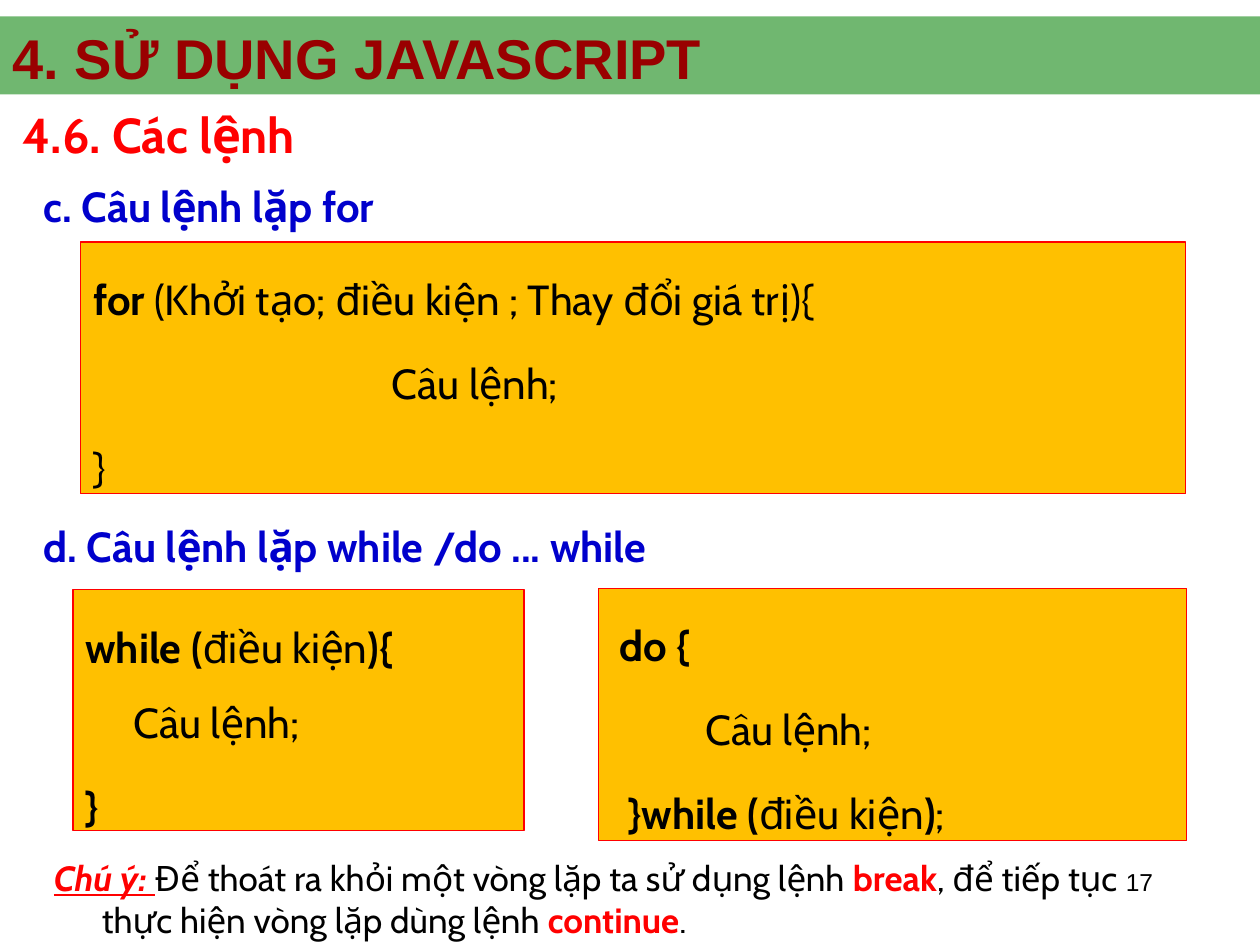
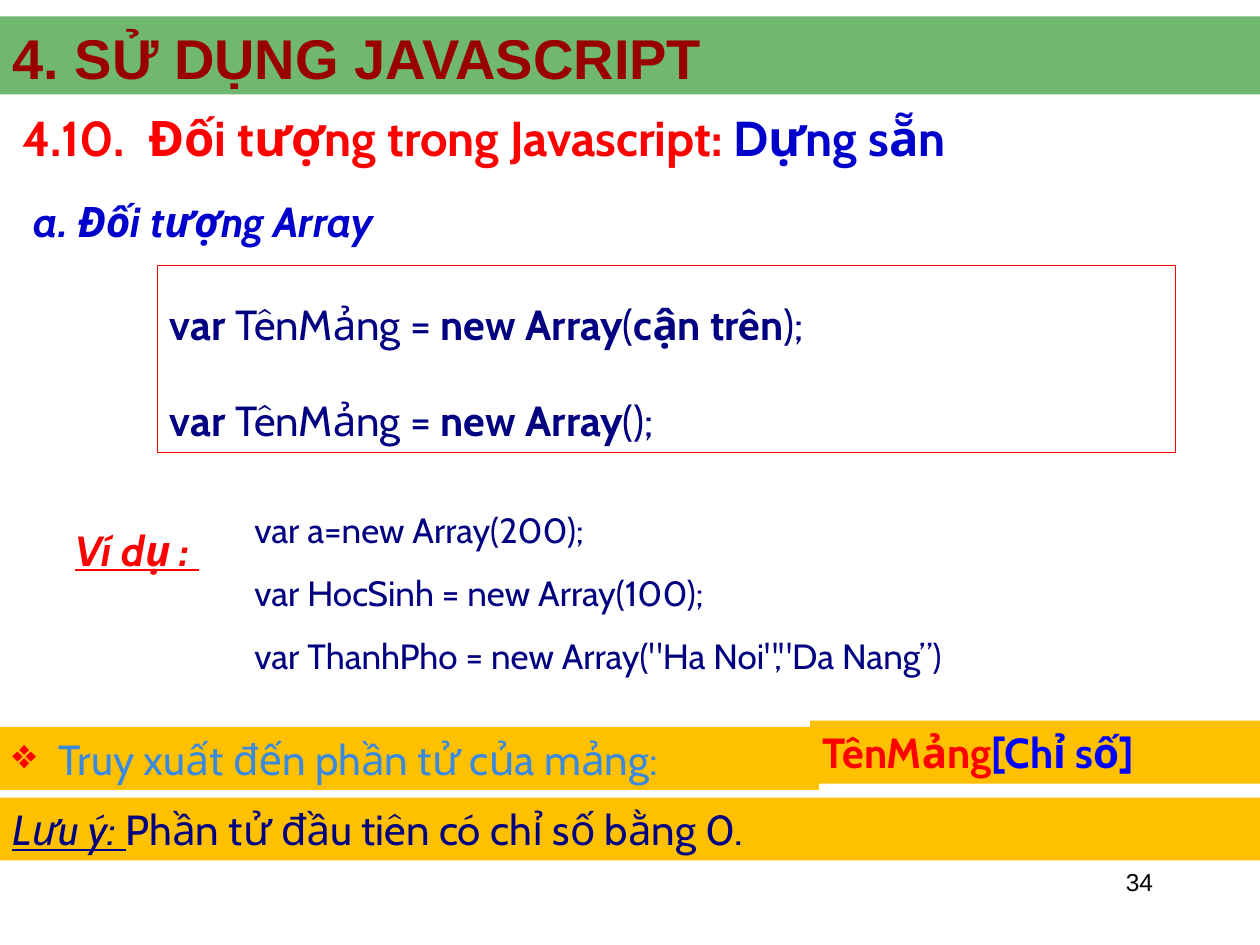
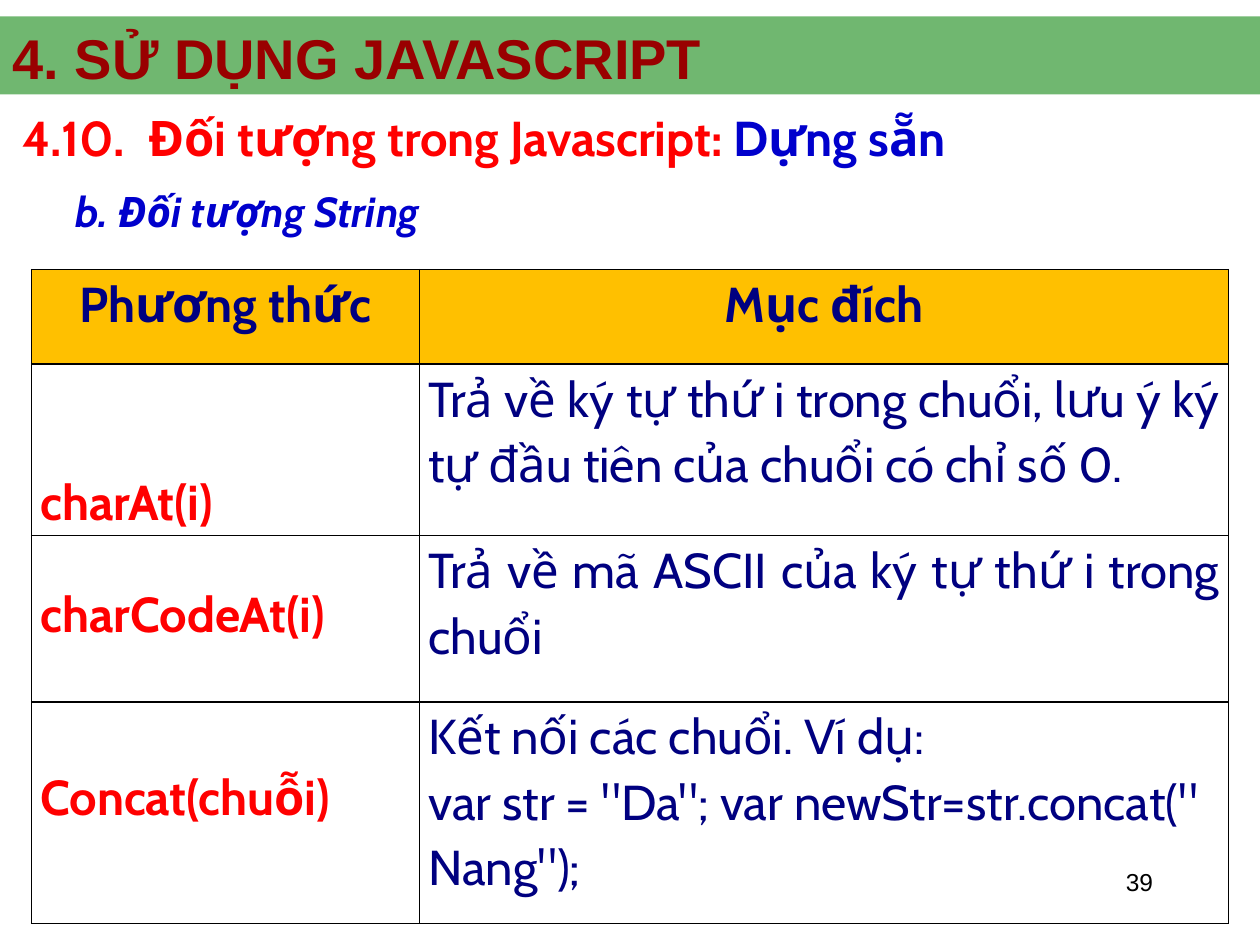
from lxml import etree
from pptx import Presentation
from pptx.dml.color import RGBColor
from pptx.enum.shapes import MSO_SHAPE
from pptx.enum.text import MSO_ANCHOR, PP_ALIGN
from pptx.oxml.ns import qn
from pptx.util import Inches, Pt

RECTANGLE = MSO_SHAPE.RECTANGLE
TOP, MIDDLE = MSO_ANCHOR.TOP, MSO_ANCHOR.MIDDLE
LEFT, CENTER, RIGHT, JUSTIFY = PP_ALIGN.LEFT, PP_ALIGN.CENTER, PP_ALIGN.RIGHT, PP_ALIGN.JUSTIFY

COLORS = {
    "black": "000000", "band": "008000", "title": "990000", "red": "FF0000",
    "heading": "0000CC", "navy": "000080", "blue": "0000FF", "sky": "3989E1",
    "amber": "FFC000",
}
RGB = {name: RGBColor.from_string(value) for name, value in COLORS.items()}

BOLD, PLAIN = {"bold": True}, {"bold": False}
RED = {"color": "red"}
KEYWORD = {"color": "red", "bold": True}
NOTE = {"italic": True, "underline": True}
TITLE = {"name": "Arial", "size": 32, "color": "title", "bold": True}
NUMBER = {"name": "Arial", "size": 14}
SECTION = {"size": 28, "color": "red", "bold": True}
HEADING = {"color": "heading", "bold": True}
OBJECT_HEADING = HEADING | {"italic": True}


def write(frame, paragraphs, font=None, align=LEFT, anchor=TOP, spacing=1.0,
          before=0, indents=None, hanging=0, bullet=None):
    """Fill a text frame; a paragraph is a string or a list of (text, font changes).

    indents holds one left indent per paragraph, before is the gap between paragraphs.
    """
    frame.word_wrap = True
    frame.vertical_anchor = anchor
    for index, runs in enumerate(paragraphs):
        paragraph = frame.add_paragraph() if index else frame.paragraphs[0]
        properties = paragraph._p.get_or_add_pPr()
        if indents:
            properties.set("marL", str(Inches(indents[index])))
            properties.set("indent", str(Inches(-hanging)))
        paragraph.alignment = align
        paragraph.line_spacing = spacing
        paragraph.space_before = Pt(before if index else 0)
        if bullet:
            bullet_color = etree.SubElement(properties, qn("a:buClr"))
            etree.SubElement(bullet_color, qn("a:srgbClr"), val=COLORS["red"])
            etree.SubElement(properties, qn("a:buChar"), char=bullet)
        for text, changes in [(runs, {})] if isinstance(runs, str) else runs:
            run = paragraph.add_run()
            run.text = text
            values = {"name": "Cabin", "size": 24, "color": "black"} | (font or {}) | changes
            run.font.color.rgb = RGB[values.pop("color")]
            values["size"] = Pt(values["size"])
            for attribute, value in values.items():
                setattr(run.font, attribute, value)


def add_box(slide, place, paragraphs=(), fill=None, line=None, **text_format):
    """Add a rectangle when it has a fill or line, otherwise a text box."""
    left, top, width, height = map(Inches, place)
    if not (fill or line):
        shape = slide.shapes.add_textbox(left, top, width, height)
    else:
        shape = slide.shapes.add_shape(RECTANGLE, left, top, width, height)
        shape.shadow.inherit = False
        if fill:
            shape.fill.solid()
            shape.fill.fore_color.rgb = RGB[fill]
        else:
            shape.fill.background()
        if line:
            shape.line.color.rgb = RGB[line]
            shape.line.width = Pt(0.75)
        else:
            shape.line.fill.background()
    write(shape.text_frame, paragraphs, **text_format)
    return shape


presentation = Presentation()
presentation.slide_width, presentation.slide_height = Inches(10), Inches(7.5)

# Shared parts: page number, band, title
slides = []
for page_number in (17, 34, 39):
    slide = presentation.slides.add_slide(presentation.slide_layouts[5])
    add_box(slide, (7.17, 6.83, 2.08, 0.5), [str(page_number)], font=NUMBER, align=RIGHT)
    band = add_box(slide, (0, 0.13, 10, 0.62), fill="band")
    band_color = band.element.spPr.find(qn("a:solidFill"))[0]
    etree.SubElement(band_color, qn("a:alpha"), val="56000")
    title = slide.shapes.title
    title.left, title.top, title.width, title.height = map(Inches, (0, 0.24, 10, 0.42))
    write(title.text_frame, ["4. SỬ DỤNG JAVASCRIPT"], font=TITLE, anchor=MIDDLE)
    slide.shapes.element.append(title.element)
    slides.append(slide)
loops_slide, array_slide, string_slide = slides

for slide in (array_slide, string_slide):
    add_box(slide, (0.08, 0.75, 9.5, 0.67),
            [[("4.10.\tĐối tượng trong Javascript: ", {}), ("Dựng sẵn", {"color": "heading"})]],
            font=SECTION, anchor=MIDDLE)

# Loops
add_box(loops_slide, (0.08, 0.75, 9.33, 0.63), ["4.6. Các lệnh"], font=SECTION, anchor=MIDDLE)
for top, height, heading in ((1.42, 0.42, "c. Câu lệnh lặp for"),
                             (4.08, 0.5, "d. Câu lệnh lặp while /do ... while")):
    add_box(loops_slide, (0.25, top, 9, height), [heading], font=HEADING, anchor=MIDDLE)

for_lines = [
    [("for", BOLD), (" (Khởi tạo; điều kiện ; Thay đổi giá trị){", {})],
    "Câu lệnh;",
    "}",
]
while_lines = [
    [("while (", BOLD), ("điều kiện", {}), ("){", BOLD)],
    "Câu lệnh;",
    [("}", BOLD)],
]
do_lines = [
    [("do {", BOLD)],
    "Câu lệnh;",
    [("}while (", BOLD), ("điều kiện", {}), (")", BOLD), (";", {})],
]
for place, lines, indents, before in (
    ((0.64, 1.92, 8.77, 2), for_lines, (0, 2.37, 0), 4.8),
    ((0.58, 4.68, 3.58, 1.91), while_lines, (0, 0.38, 0), 2.4),
    ((4.75, 4.67, 4.67, 2), do_lines, (0.07, 0.75, 0.14), 4.8),
):
    code_box = add_box(loops_slide, place, lines, fill="amber", line="red",
                       spacing=1.5, before=before, indents=indents)
    if lines is while_lines:
        statement, closing = code_box.text_frame.paragraphs[1:]
        statement.space_before, closing.space_before = Pt(0), Pt(4.8)

add_box(loops_slide, (0.33, 6.75, 8.83, 0.75), [[
    ("Chú ý: ", KEYWORD | NOTE),
    ("Để thoát ra khỏi một vòng lặp ta sử dụng lệnh ", {}),
    ("break", KEYWORD),
    (", để tiếp tục thực hiện vòng lặp dùng lệnh ", {}),
    ("continue", KEYWORD),
    (".", {}),
]], font={"size": 20}, indents=[0.38], hanging=0.38)

# Array object
add_box(array_slide, (0.17, 1.5, 4.17, 0.5), ["a. Đối tượng Array"], font=OBJECT_HEADING)
declaration = [("var", BOLD), (" TênMảng = ", {}), ("new Array", BOLD)]
add_box(array_slide, (1.25, 2.11, 8.08, 1.48), [
    declaration + [("(", {}), ("cận trên", BOLD), (");", {})],
    declaration + [("();", {})],
], line="red", font={"color": "navy"}, anchor=MIDDLE, spacing=1.5, before=12)
add_box(array_slide, (1.42, 3.82, 8.25, 1.6), [
    "var a=new Array(200);",
    "var HocSinh = new Array(100);",
    'var ThanhPho = new Array("Ha Noi","Da Nang”)',
], font={"size": 20, "color": "navy"}, align=JUSTIFY, anchor=MIDDLE, spacing=1.5,
    indents=[0.5] * 3)
add_box(array_slide, (0, 4.11, 1.97, 0.5), ["Ví dụ : "], font=KEYWORD | NOTE,
        align=JUSTIFY, indents=[0.5])
add_box(array_slide, (6.43, 5.72, 3.57, 0.5),
        [[("TênMảng", RED), ("[Chỉ số]", {"color": "blue"})]],
        fill="amber", font=BOLD, anchor=MIDDLE)
add_box(array_slide, (0, 5.77, 6.5, 0.5), ["Truy xuất đến phần tử của mảng:"],
        fill="amber", font={"color": "sky"}, indents=[0.37], hanging=0.37, bullet="❖")
add_box(array_slide, (0, 6.33, 10, 0.5),
        [[("Lưu ý: ", NOTE), ("Phần tử đầu tiên có chỉ số bằng 0.", {})]],
        fill="amber", font={"color": "navy"})

# String object
add_box(string_slide, (0.5, 1.42, 3.4, 0.5), ["b. Đối tượng String"], font=OBJECT_HEADING)
column_widths = (3.08, 6.42)
# Row height, top margin of the method name, method, purpose
rows = [
    (0.75, 0, "Phương thức", ["Mục đích"]),
    (1.36, 0.82, "charAt(i)",
     ["Trả về ký tự thứ i trong chuổi, lưu ý ký tự đầu tiên của chuổi có chỉ số 0."]),
    (1.32, 0.35, "charCodeAt(i)", ["Trả về mã ASCII của ký tự thứ i trong chuổi"]),
    (1.76, 0.48, "Concat(chuỗi)",
     ["Kết nối các chuổi. Ví dụ:", 'var str = "Da"; var newStr=str.concat(" Nang");']),
]
table = string_slide.shapes.add_table(
    len(rows), len(column_widths), Inches(0.25), Inches(2.14),
    Inches(sum(column_widths)), Inches(sum(row[0] for row in rows))).table
table.horz_banding = False
for column, width in zip(table.columns, column_widths):
    column.width = Inches(width)
for row_index, (height, method_margin, method, purpose) in enumerate(rows):
    is_header = row_index == 0
    table.rows[row_index].height = Inches(height)
    for column_index, paragraphs in enumerate(([method], purpose)):
        is_method = column_index == 0
        cell = table.cell(row_index, column_index)
        cell.margin_left = cell.margin_right = Inches(0.07)
        cell.margin_top = Inches(method_margin if is_method else 0)
        cell.margin_bottom = 0
        write(cell.text_frame, paragraphs, spacing=1.1,
              align=CENTER if is_header else JUSTIFY,
              font={"size": 28, "bold": is_header or is_method,
                    "color": "red" if is_method and not is_header else "navy"})
        if len(paragraphs) > 1:
            cell.text_frame.paragraphs[-1].alignment = LEFT
        cell_properties = cell._tc.get_or_add_tcPr()
        for side in ("a:lnL", "a:lnR", "a:lnT", "a:lnB"):
            border = etree.SubElement(cell_properties, qn(side), w=str(Pt(1)))
            border_fill = etree.SubElement(border, qn("a:solidFill"))
            etree.SubElement(border_fill, qn("a:srgbClr"), val=COLORS["black"])
        if is_header:
            cell.fill.solid()
            cell.fill.fore_color.rgb = RGB["amber"]
        else:
            cell.fill.background()

presentation.save("out.pptx")
